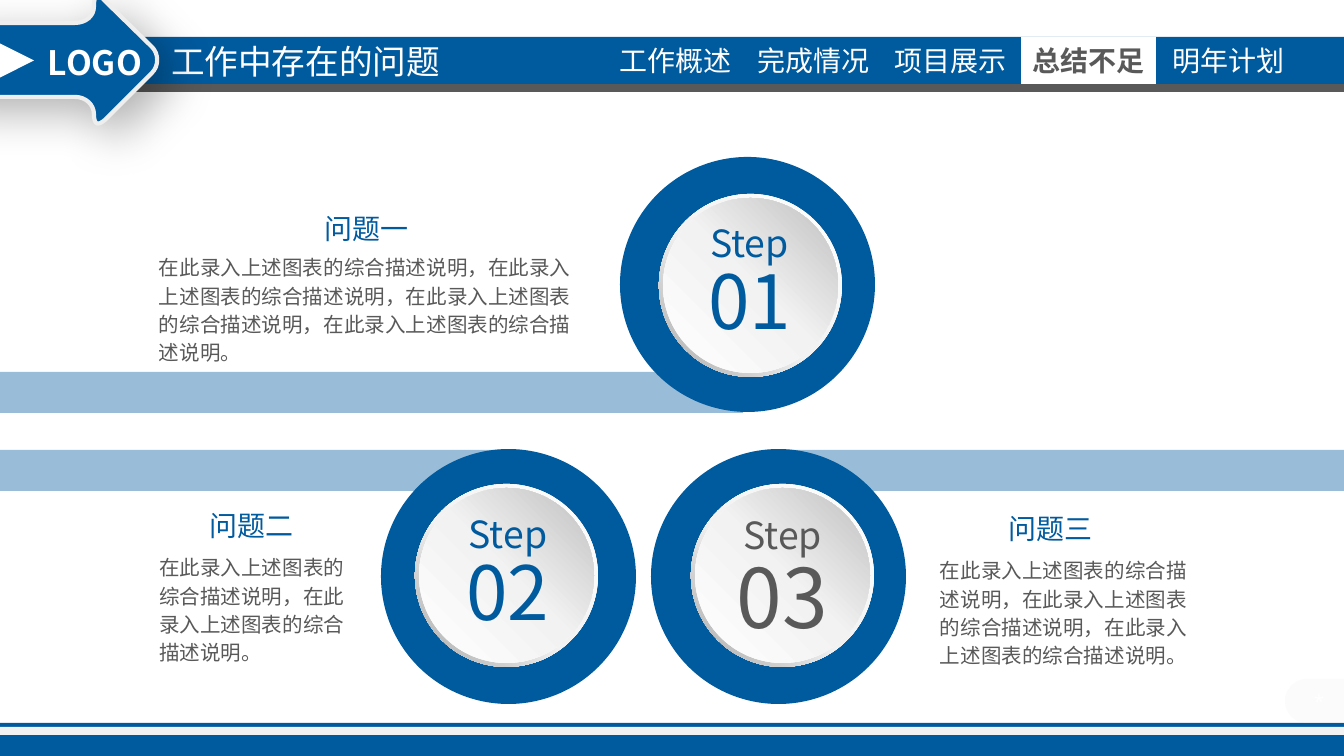
from copy import deepcopy

from lxml import etree
from pptx import Presentation
from pptx.dml.color import RGBColor
from pptx.enum.shapes import MSO_SHAPE
from pptx.enum.text import MSO_ANCHOR, PP_ALIGN
from pptx.oxml.ns import qn
from pptx.util import Pt

PX = 914400 / 134.4
FONT = "Noto Sans CJK SC"
RECTANGLE, OVAL, DONUT = MSO_SHAPE.RECTANGLE, MSO_SHAPE.OVAL, MSO_SHAPE.DONUT
TRIANGLE, TAB = MSO_SHAPE.FLOWCHART_EXTRACT, MSO_SHAPE.ROUND_2_SAME_RECTANGLE
LEFT, CENTER, RIGHT = PP_ALIGN.LEFT, PP_ALIGN.CENTER, PP_ALIGN.RIGHT
TOP, MIDDLE = MSO_ANCHOR.TOP, MSO_ANCHOR.MIDDLE
COLORS = {
    "blue": "005A9E",
    "gray": "595959",
    "light": "F2F2F2",
    "outline": "EEEEEE",
    "white": "FFFFFF",
    "rim_shade": "A6A6A6",
    "disc_shade": "BFBFBF",
    "shadow": "000000",
}

presentation = Presentation()
presentation.slide_width = round(1344 * PX)
presentation.slide_height = round(756 * PX)
slide = presentation.slides.add_slide(presentation.slide_layouts[5])
shapes = slide.shapes


def add_shape(kind, box, color, alpha=100):
    shape = shapes.add_shape(kind, *[round(length * PX) for length in box])
    shape.shadow.inherit = False
    shape.line.fill.background()
    shape.fill.solid()
    shape.fill.fore_color.rgb = RGBColor.from_string(COLORS[color])
    if alpha < 100:
        color_element = shape._element.spPr.find(".//" + qn("a:srgbClr"))
        etree.SubElement(color_element, qn("a:alpha"), val=str(alpha * 1000))
    return shape


def write(lines, color, box=None, shape=None, align=LEFT, anchor=TOP,
          spacing=1.0, bold=False, wrap=True, font=FONT):
    """Write (text, size) lines into a shape, or into a new text box."""
    if shape is None:
        shape = shapes.add_textbox(0, 0, 0, 0)
    if box:
        shape.left, shape.top, shape.width, shape.height = [
            round(length * PX) for length in box]
    frame = shape.text_frame
    frame.margin_left = frame.margin_right = round(10 * PX)
    frame.margin_top = frame.margin_bottom = round(5 * PX)
    frame.word_wrap = wrap
    frame.vertical_anchor = anchor
    frame.text = "\n".join(text for text, size in lines)
    for paragraph, (text, size) in zip(frame.paragraphs, lines):
        paragraph.alignment = align
        paragraph.line_spacing = spacing
        paragraph.font.size = Pt(size)
        paragraph.font.bold = bold
        paragraph.font.color.rgb = RGBColor.from_string(COLORS[color])
        paragraph.font.name = font
        properties = paragraph._p.pPr.find(qn("a:defRPr"))
        etree.SubElement(properties, qn("a:ea"), typeface=font)


# Footer and header bands
add_shape(RECTANGLE, (0, 723, 1344, 33), "blue")
add_shape(RECTANGLE, (0, 727, 1344, 8), "light")
add_shape(RECTANGLE, (0, 37, 1344, 47), "blue")
add_shape(RECTANGLE, (0, 84, 1344, 8), "gray")

# Navigation, with the current section highlighted
sections = [("工作概述", 608), ("完成情况", 746), ("项目展示", 883),
            ("总结不足", 1021), ("明年计划", 1161)]
for name, left in sections:
    box = (left, 37, 135, 47)
    current = name == "总结不足"
    write([(name, 15)], "gray" if current else "white", box,
          add_shape(RECTANGLE, box, "white") if current else None,
          align=CENTER, anchor=MIDDLE, bold=current)

# Title, raised above the header band
title = shapes.title
write([("工作中存在的问题", 18)], "white", (161, 36, 292, 51), title, wrap=False)
shapes._spTree.append(title._element)

# Arrow badge: pairs are line ends, sextuples are cubic curves
arrow_start = (98, -4)
arrow_segments = [
    (101, -4, 103, -1, 105, 1), (152, 47), (159, 54, 159, 66, 152, 73),
    (105, 120), (98, 126, 94, 125, 94, 114), (94, 105, 86, 97, 75, 97),
    (-40, 97), (-50, 97, -58, 87, -58, 78), (-58, 42),
    (-58, 32, -50, 23, -40, 23), (75, 23), (86, 23, 94, 16, 94, 7),
    (94, 0, 95, -4, 98, -4),
]
outline = [arrow_start]
for segment in arrow_segments:
    if len(segment) == 2:
        outline.append(segment)
        continue
    x0, y0 = outline[-1]
    x1, y1, x2, y2, x3, y3 = segment
    for step in range(1, 9):
        t = step / 8
        u = 1 - t
        outline.append((
            u**3 * x0 + 3 * u * u * t * x1 + 3 * u * t * t * x2 + t**3 * x3,
            u**3 * y0 + 3 * u * u * t * y1 + 3 * u * t * t * y2 + t**3 * y3))
points = [(round(x * PX), round(y * PX)) for x, y in outline]
builder = shapes.build_freeform(*points[0])
builder.add_line_segments(points[1:], close=True)
arrow = builder.convert_to_shape()
arrow.fill.solid()
arrow.fill.fore_color.rgb = RGBColor.from_string(COLORS["blue"])
arrow.line.color.rgb = RGBColor.from_string(COLORS["outline"])
arrow.line.width = Pt(2.25)
arrow.shadow.inherit = False
shadow = etree.SubElement(
    arrow._element.spPr.find(qn("a:effectLst")), qn("a:outerShdw"),
    blurRad=str(Pt(25)), dist=str(Pt(10)), dir=str(45 * 60000))
shadow_color = etree.SubElement(shadow, qn("a:srgbClr"), val=COLORS["shadow"])
etree.SubElement(shadow_color, qn("a:alpha"), val="30000")
write([("LOGO", 18)], "white", (38, 37, 134, 51), bold=True)
add_shape(TRIANGLE, (-7, 40, 41, 41), "white").rotation = 90

# Translucent bars leading into the rings
for left, top, width in [(0, 372, 743), (0, 450, 507), (770, 450, 574)]:
    add_shape(RECTANGLE, (left, top, width, 41), "blue", alpha=40)

# Corner tab
tab = add_shape(TAB, (1298, 666, 44, 70), "light", alpha=30)
tab.adjustments[0] = 0.5
tab.rotation = 270
write([("*", 11)], "white", (1294, 684, 50, 32), align=CENTER,
      font="Noto Sans Mono")

# Steps: ring position, disc position, text box, number, size, colour
steps = [
    ((620, 157), (659, 194), (693, 220, 113, 132), "01", 40, "blue"),
    ((381, 449), (415, 484), (452, 511, 112, 132), "02", 40, "blue"),
    ((651, 449), (691, 484), (722, 512, 121, 141), "03", 44, "gray"),
]
for ring_corner, (left, top), text_box, number, size, color in steps:
    ring = add_shape(DONUT, (*ring_corner, 255, 255), "blue")
    ring.adjustments[0] = 0.16
    rim = add_shape(DONUT, (left, top, 183, 183), "white")
    rim.adjustments[0] = 0.05
    disc = add_shape(OVAL, (left + 4, top + 4, 175, 175), "white")
    for shape, angle, middle, shade in [(rim, 135, 0.55, "rim_shade"),
                                        (disc, 315, 0.51, "disc_shade")]:
        shape.fill.gradient()
        shape.fill.gradient_angle = 360 - angle
        stop_list = shape._element.spPr.find(".//" + qn("a:gsLst"))
        stop_list.append(deepcopy(stop_list[0]))
        stops = [(0, "white"), (middle, "light"), (1, shade)]
        for stop, (position, stop_color) in zip(shape.fill.gradient_stops, stops):
            stop.position = position
            stop.color.rgb = RGBColor.from_string(COLORS[stop_color])
    write([("Step", 20), (number, size)], color, text_box,
          align=CENTER, spacing=0.9, wrap=False)

# Problems: heading, its box and alignment, text box, sentence count
clause = "在此录入上述图表的综合描述说明"
problems = [
    ("问题一", (134, 207, 285, 44), RIGHT, (149, 247, 438, 124), 4),
    ("问题二", (109, 504, 285, 44), CENTER, (149, 547, 206, 124), 2),
    ("问题三", (908, 507, 285, 44), CENTER, (930, 550, 285, 124), 3),
]
for heading, heading_box, align, text_box, count in problems:
    write([(heading, 15)], "blue", heading_box, align=align)
    write([("，".join([clause] * count) + "。", 11)], "gray", text_box,
          spacing=1.14)

presentation.save("out.pptx")
